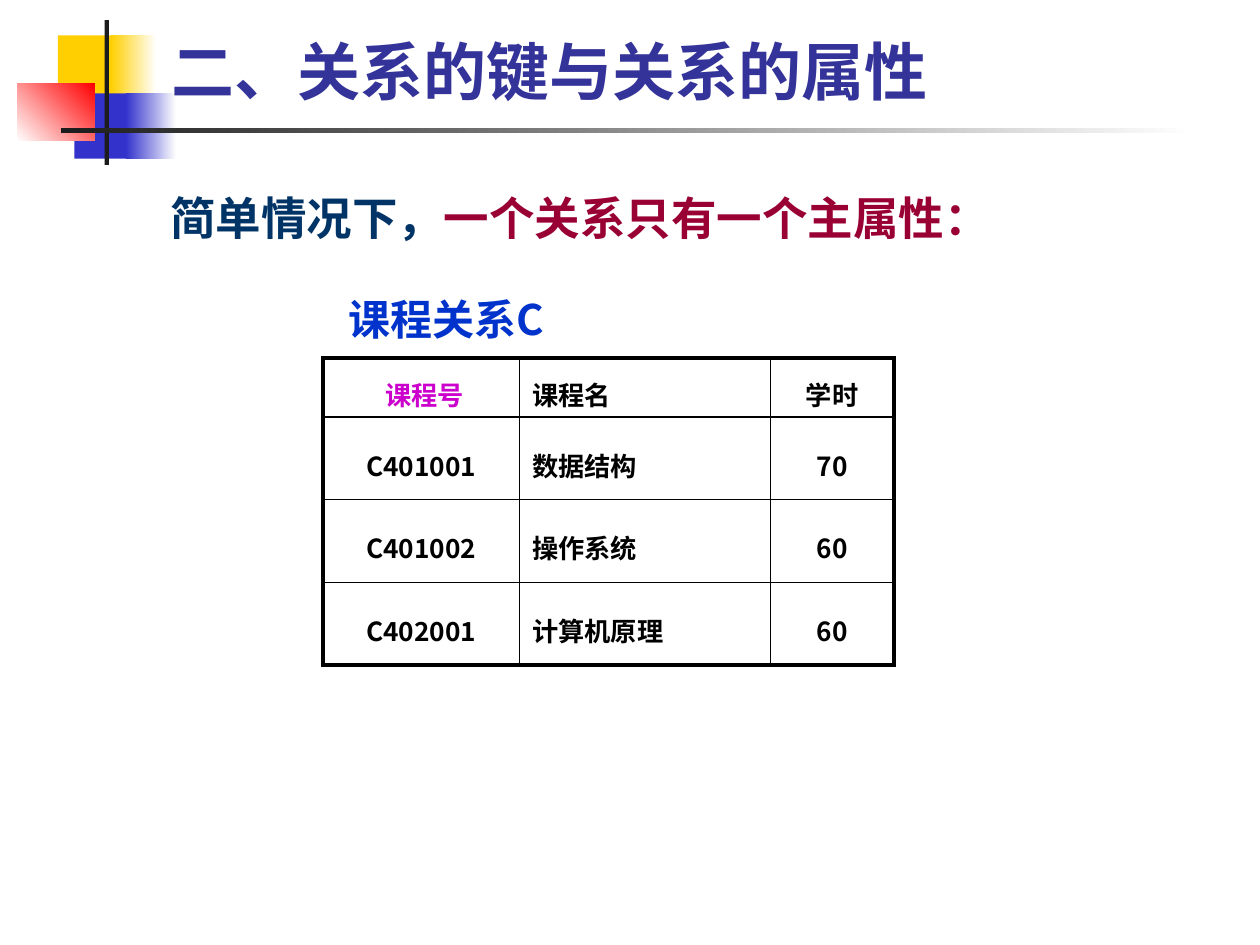
import pptx
import pptx.util
import pptx.dml.color
import pptx.enum.shapes
import pptx.enum.text
import pptx.oxml
import pptx.oxml.ns

Pt = pptx.util.Pt
ALIGN = pptx.enum.text.PP_ALIGN
ANCHOR = pptx.enum.text.MSO_ANCHOR
RECTANGLE = pptx.enum.shapes.MSO_SHAPE.RECTANGLE

THEME = {
    "latin": "Cabin", "cjk": "Noto Sans CJK SC",
    "title_size": 36, "intro_size": 26, "caption_size": 24, "cell_size": 15,
    "title": "333399", "navy": "003366", "crimson": "990033", "caption": "0033CC",
    "key": "CC00CC", "black": "000000", "white": "FFFFFF",
    "yellow": "FFCF01", "blue": "3333CC", "red": "FF0000", "rule": "1C1C1C",
}

TITLE = "二、关系的键与关系的属性"
INTRO = [("简单情况下，", "navy"), ("一个关系只有一个主属性：", "crimson")]
CAPTION = "课程关系C"
COURSES = [
    ("课程号", "课程名", "学时"),
    ("C401001", "数据结构", "70"),
    ("C401002", "操作系统", "60"),
    ("C402001", "计算机原理", "60"),
]
COLUMN_WIDTHS = (112.3, 143.3, 70.6)
COLUMN_ALIGNS = (ALIGN.CENTER, ALIGN.LEFT, ALIGN.CENTER)
ROW_HEIGHTS = (31, 47.2, 47.2, 47.2)
THICK, THIN = 2.25, 1

DECORATIONS = [
    ((33.1, 20.2, 34.6, 37.4), ("yellow",), 0),
    ((63.4, 20.2, 25.9, 37.4), ("yellow", "white"), 0),
    ((42.5, 53.3, 33.1, 37.4), ("blue",), 0),
    ((72, 53.3, 28.8, 37.4), ("blue", "white"), 0),
    ((10, 47.5, 44, 33.1), ("white", "red"), 45),
    ((59.8, 11.5, 2.4, 82.8), ("rule",), 0),
    ((34.6, 73.4, 648, 2.4), ("rule", "white"), 0),
]


def color(name):
    return pptx.dml.color.RGBColor.from_string(THEME[name])


def points(values):
    return [Pt(value) for value in values]


def add_run(paragraph, text, size, color_name, latin):
    run = paragraph.add_run()
    run.text = text
    run.font.size = Pt(THEME[size])
    run.font.bold = True
    run.font.color.rgb = color(color_name)
    run.font.name = THEME[latin]
    east_asian = pptx.oxml.parse_xml(
        f'<a:ea {pptx.oxml.ns.nsdecls("a")} typeface="{THEME["cjk"]}"/>')
    run.font._element.find(pptx.oxml.ns.qn("a:latin")).addnext(east_asian)
    return run


def add_rectangle(slide, box, fills, angle=0):
    shape = slide.shapes.add_shape(RECTANGLE, *points(box))
    shape.shadow.inherit = False
    shape.line.fill.background()
    if len(fills) == 1:
        shape.fill.solid()
        shape.fill.fore_color.rgb = color(fills[0])
    elif fills:
        shape.fill.gradient()
        shape.fill.gradient_angle = angle
        for stop, name, position in zip(shape.fill.gradient_stops, fills, (0, 1)):
            stop.color.rgb = color(name)
            stop.position = position
    else:
        shape.fill.background()
    return shape


def add_title(slide):
    title = slide.shapes.title
    title.left, title.top, title.width, title.height = points((90.7, 16.6, 613.4, 49))
    frame = title.text_frame
    frame.word_wrap = True
    frame.auto_size = pptx.enum.text.MSO_AUTO_SIZE.NONE
    frame.vertical_anchor = ANCHOR.BOTTOM
    paragraph = frame.paragraphs[0]
    paragraph.alignment = ALIGN.LEFT
    add_run(paragraph, TITLE, "title_size", "title", "latin")
    title.element.getparent().append(title.element)


def add_intro(slide):
    frame = add_rectangle(slide, (36.7, 93.6, 646.6, 57.6), ()).text_frame
    frame.word_wrap = True
    frame.vertical_anchor = ANCHOR.TOP
    frame.margin_left = Pt(60.5)
    frame.margin_top = Pt(8.5)
    paragraph = frame.paragraphs[0]
    paragraph.alignment = ALIGN.LEFT
    paragraph.line_spacing = 1.2
    for text, color_name in INTRO:
        add_run(paragraph, text, "intro_size", color_name, "latin")


def add_caption(slide):
    frame = slide.shapes.add_textbox(*points((192.2, 164.2, 193, 36))).text_frame
    frame.word_wrap = True
    run = add_run(frame.paragraphs[0], CAPTION, "caption_size", "caption", "cjk")
    shadow = pptx.oxml.parse_xml(
        f'<a:effectLst {pptx.oxml.ns.nsdecls("a")}>'
        '<a:outerShdw dist="35921" dir="2700000" algn="tl">'
        f'<a:srgbClr val="{THEME["black"]}"/></a:outerShdw></a:effectLst>')
    run.font._element.find(pptx.oxml.ns.qn("a:latin")).addprevious(shadow)


def set_borders(cell, widths):
    properties = cell._tc.get_or_add_tcPr()
    for index, (side, width) in enumerate(zip("LRTB", widths)):
        properties.insert(index, pptx.oxml.parse_xml(
            f'<a:ln{side} {pptx.oxml.ns.nsdecls("a")} w="{Pt(width)}">'
            f'<a:solidFill><a:srgbClr val="{THEME["black"]}"/></a:solidFill>'
            f'</a:ln{side}>'))


def add_courses(slide):
    last_row, last_column = len(COURSES) - 1, len(COLUMN_WIDTHS) - 1
    box = (184.6, 204.5, sum(COLUMN_WIDTHS), sum(ROW_HEIGHTS))
    table = slide.shapes.add_table(
        len(COURSES), len(COLUMN_WIDTHS), *points(box)).table
    for column, width in zip(table.columns, COLUMN_WIDTHS):
        column.width = Pt(width)
    for row, height in zip(table.rows, ROW_HEIGHTS):
        row.height = Pt(height)
    for row_index, course in enumerate(COURSES):
        for column_index, text in enumerate(course):
            is_key = row_index == column_index == 0
            cell = table.cell(row_index, column_index)
            cell.fill.background()
            cell.vertical_anchor = ANCHOR.MIDDLE
            cell.margin_left = Pt(11.2 if is_key else 7.2)
            cell.margin_right = Pt(7.2)
            cell.margin_top, cell.margin_bottom = Pt(5.4), Pt(2.4)
            paragraph = cell.text_frame.paragraphs[0]
            paragraph.alignment = COLUMN_ALIGNS[column_index]
            paragraph.line_spacing = 1.2
            add_run(paragraph, text, "cell_size", "key" if is_key else "black", "cjk")
            outer = (column_index == 0, column_index == last_column,
                     row_index == 0, row_index == last_row)
            set_borders(cell, [THICK if edge else THIN for edge in outer])


def main():
    presentation = pptx.Presentation()
    presentation.slide_width, presentation.slide_height = Pt(720), Pt(540)
    slide = presentation.slides.add_slide(presentation.slide_layouts[5])
    for box, fills, angle in DECORATIONS:
        add_rectangle(slide, box, fills, angle)
    add_intro(slide)
    add_courses(slide)
    add_caption(slide)
    add_title(slide)
    presentation.save("out.pptx")


if __name__ == "__main__":
    main()
